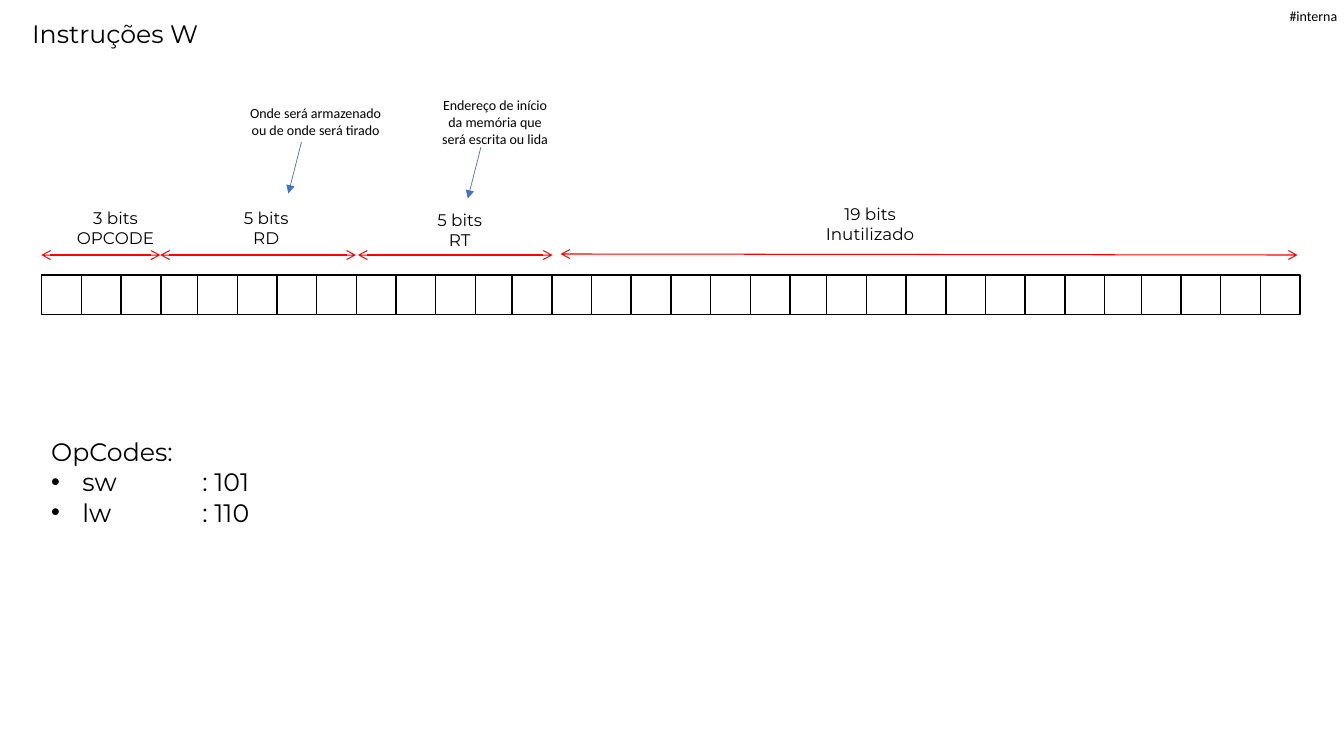
from lxml.etree import SubElement
from pptx import Presentation
from pptx.dml.color import RGBColor
from pptx.enum.shapes import MSO_CONNECTOR, MSO_SHAPE
from pptx.enum.text import PP_ALIGN
from pptx.oxml.ns import qn
from pptx.util import Inches, Pt

BLACK, WHITE, RED, BLUE = "000000", "FFFFFF", "FF0000", "4472C4"
BIT_COUNT = 32
BIT_SIZE = 1 / 2.54
BYTE_LEFT, BYTE_PITCH = 1.96, 3.12
BITS_TOP = 2.73

FIELDS = [
    ("3 bits\nOPCODE", (0.65, 2.01, 0.99, 0.5), (0.41, 2.53, 1.59, 2.53)),
    ("5 bits\nRD", (2.28, 2.01, 0.72, 0.5), (1.59, 2.53, 3.53, 2.53)),
    ("5 bits\nRT", (4.2, 2.03, 0.72, 0.5), (3.55, 2.53, 5.48, 2.53)),
    ("19 bits\nInutilizado", (8.05, 1.97, 1.16, 0.5), (5.56, 2.52, 12.87, 2.53)),
]
NOTES = [
    ("Onde será armazenado\nou de onde será tirado",
     (2.37, 0.99, 1.52, 0.44), (2.99, 1.41, 2.86, 1.92)),
    ("Endereço de início\nda memória que\nserá escrita ou lida",
     (4.26, 0.91, 1.3, 0.61), (4.77, 1.46, 4.64, 1.97)),
]


def color(value):
    return RGBColor.from_string(value)


def inches(values):
    return [Inches(value) for value in values]


def add_text(slide, text, box, size, font="Montserrat", align=PP_ALIGN.LEFT, wrap=False):
    text_frame = slide.shapes.add_textbox(*inches(box)).text_frame
    text_frame.word_wrap = wrap
    text_frame.text = text
    for paragraph in text_frame.paragraphs:
        paragraph.alignment = align
        for run in paragraph.runs:
            run.font.size = Pt(size)
            run.font.name = font
            run.font.color.rgb = color(BLACK)
    return text_frame


def add_bullet(paragraph):
    properties = paragraph._p.get_or_add_pPr()
    properties.set("marL", str(Inches(0.31)))
    properties.set("indent", str(Inches(-0.31)))
    SubElement(properties, qn("a:buFont"), typeface="Arial")
    SubElement(properties, qn("a:buChar"), char="•")


def add_arrow(slide, ends, line_color, width, **heads):
    arrow = slide.shapes.add_connector(MSO_CONNECTOR.STRAIGHT, *inches(ends))
    arrow.line.color.rgb = color(line_color)
    arrow.line.width = Pt(width)
    line = arrow.line._get_or_add_ln()
    for end, head in heads.items():
        SubElement(line, qn(f"a:{end}"), type=head)
    SubElement(arrow._element.spPr, qn("a:effectLst"))


def add_bit(slide, index):
    byte, position = divmod(index + 4, 8)
    left = BYTE_LEFT + (byte - 1) * BYTE_PITCH + position * BIT_SIZE
    bit = slide.shapes.add_shape(
        MSO_SHAPE.RECTANGLE, *inches((left, BITS_TOP, BIT_SIZE, BIT_SIZE)))
    bit.shadow.inherit = False
    bit.fill.solid()
    bit.fill.fore_color.rgb = color(WHITE)
    bit.line.color.rgb = color(BLACK)
    bit.line.width = Pt(1)


def add_opcodes(slide):
    text_frame = add_text(slide, "OpCodes:\nsw\t\t: 101\nlw\t\t: 110",
                          (0.41, 4.28, 3.23, 1.01), 18, wrap=True)
    for paragraph in text_frame.paragraphs[1:]:
        add_bullet(paragraph)


def add_classification(slide):
    text_frame = add_text(slide, "#interna", (12.79, 0.07, 0.51, 0.17), 10, "Calibri")
    text_frame.margin_left = text_frame.margin_right = 0
    text_frame.margin_top = text_frame.margin_bottom = 0


def main():
    presentation = Presentation()
    presentation.slide_width = Inches(13.33)
    presentation.slide_height = Inches(7.5)
    slide = presentation.slides.add_slide(presentation.slide_layouts[6])
    add_classification(slide)
    for index in range(BIT_COUNT):
        add_bit(slide, index)
    add_text(slide, "Instruções W", (0.22, 0.13, 2.02, 0.4), 18)
    for label, box, ends in FIELDS:
        add_arrow(slide, ends, RED, 0.75, headEnd="arrow", tailEnd="arrow")
        add_text(slide, label, box, 12, align=PP_ALIGN.CENTER)
    add_opcodes(slide)
    for note, box, ends in NOTES:
        add_arrow(slide, ends, BLUE, 0.5, tailEnd="triangle")
        add_text(slide, note, box, 10, "Calibri", PP_ALIGN.CENTER)
    presentation.save("out.pptx")


if __name__ == "__main__":
    main()
